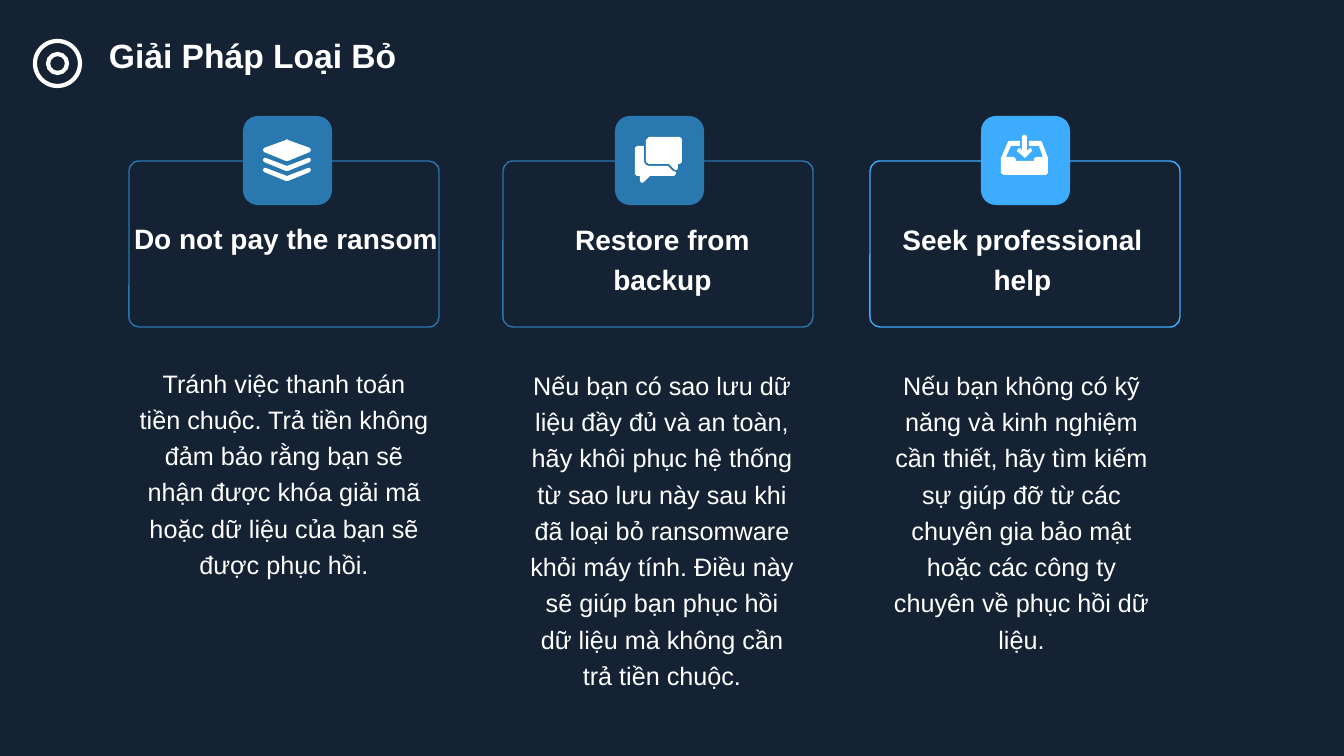
import pptx
import pptx.util
import pptx.dml.color
import pptx.enum.shapes
import pptx.enum.text

PX = 914400 / 100.8
SHAPE = pptx.enum.shapes.MSO_SHAPE
ALIGN = pptx.enum.text.PP_ALIGN
COLORS = {"back": "142233", "blue": "2A78B0", "light": "3DACFE", "white": "FFFFFF"}
FONTS = {
    "title": {"name": "Arial", "size": pptx.util.Pt(24), "bold": True},
    "head": {"name": "Arial", "size": pptx.util.Pt(20), "bold": True},
    "body": {"name": "Arial", "size": pptx.util.Pt(18), "bold": False},
}
TILE = 89

# Icon outlines, in px from the corner of their tile
CHEVRON = [(20, 44), (21, 42), (23, 42), (44, 50), (65, 42), (67, 42),
           (68, 44), (67, 46), (45, 55), (43, 55), (21, 46)]
LAYERS = [
    [(20, 34), (21, 32), (43, 24), (44, 23), (45, 24), (67, 32),
     (68, 34), (67, 36), (45, 45), (43, 45), (21, 36)],
    CHEVRON,
    [(x, y + 10) for x, y in CHEVRON],
]
CHAT = [
    [(34, 21), (65, 21), (67, 23), (67, 46), (65, 48), (63, 48), (63, 52),
     (62, 54), (60, 54), (54, 48), (34, 48), (31, 46), (31, 24)],
    [(53, 50), (58, 55), (61, 56), (61, 58), (59, 60), (35, 60), (29, 66),
     (27, 67), (25, 65), (25, 60), (22, 60), (20, 58), (20, 32), (22, 30),
     (29, 30), (29, 46), (31, 49), (34, 50)],
]
INBOX = [
    [(65, 59), (23, 59), (20, 57), (20, 42), (27, 26), (28, 25), (39, 25),
     (39, 30), (30, 30), (25, 41), (33, 41), (35, 43), (35, 45), (53, 45),
     (53, 43), (55, 41), (62, 41), (58, 30), (48, 30), (48, 25), (60, 25),
     (61, 26), (67, 42), (67, 57)],
    [(51, 35), (50, 36), (45, 41), (44, 42), (43, 41), (37, 36), (36, 35),
     (37, 33), (39, 32), (41, 35), (41, 21), (42, 19), (45, 19), (46, 21),
     (46, 35), (48, 33), (50, 32)],
]

# Card left, tile left, colour, icon, heading and its box, body and its box
CARDS = [
    (129, 243, "blue", LAYERS,
     "Do not pay the ransom", (123, 210, 326, 50),
     "Tránh việc thanh toán tiền chuộc. Trả tiền không đảm bảo rằng bạn sẽ "
     "nhận được khóa giải mã hoặc dữ liệu của bạn sẽ được phục hồi.",
     (129, 357, 310, 230)),
    (503, 615, "blue", CHAT,
     "Restore from backup", (519, 211, 287, 92),
     "Nếu bạn có sao lưu dữ liệu đầy đủ và an toàn, hãy khôi phục hệ thống "
     "từ sao lưu này sau khi đã loại bỏ ransomware khỏi máy tính. Điều này "
     "sẽ giúp bạn phục hồi dữ liệu mà không cần trả tiền chuộc.",
     (519, 359, 286, 340)),
    (870, 981, "light", INBOX,
     "Seek professional help", (878, 211, 289, 92),
     "Nếu bạn không có kỹ năng và kinh nghiệm cần thiết, hãy tìm kiếm sự giúp "
     "đỡ từ các chuyên gia bảo mật hoặc các công ty chuyên về phục hồi dữ liệu.",
     (877, 359, 289, 303)),
]


def emu(*sizes):
    return [round(size * PX) for size in sizes]


def tint(key):
    return pptx.dml.color.RGBColor.from_string(COLORS[key])


def paint(shape, fill=None, line=None, width=1):
    shape.shadow.inherit = False
    if fill:
        shape.fill.solid()
        shape.fill.fore_color.rgb = tint(fill)
    else:
        shape.fill.background()
    if line:
        shape.line.color.rgb = tint(line)
        shape.line.width = pptx.util.Pt(width)
    else:
        shape.line.fill.background()


def add_form(shapes, kind, box, adjust=None, **style):
    form = shapes.add_shape(kind, *emu(*box))
    if adjust is not None:
        form.adjustments[0] = adjust
    paint(form, **style)


def add_icon(shapes, left, top, paths):
    first, *rest = paths
    pen = shapes.build_freeform(*first[0], scale=PX)
    pen.add_line_segments(first[1:], close=True)
    for points in rest:
        pen.move_to(*points[0])
        pen.add_line_segments(points[1:], close=True)
    paint(pen.convert_to_shape(*emu(left, top)), fill="white")


def add_text(shapes, words, box, style, align=ALIGN.CENTER):
    frame = shapes.add_textbox(*emu(*box)).text_frame
    frame.word_wrap = True
    frame.auto_size = pptx.enum.text.MSO_AUTO_SIZE.SHAPE_TO_FIT_TEXT
    para = frame.paragraphs[0]
    para.alignment = align
    para.line_spacing = 1.2
    run = para.add_run()
    run.text = words
    for key, value in FONTS[style].items():
        setattr(run.font, key, value)
    run.font.color.rgb = tint("white")


def add_card(shapes, left, tile, color, icon, head, head_box, body, body_box):
    add_form(shapes, SHAPE.ROUNDED_RECTANGLE, (left, 161, 310, 166), 0.06, line=color)
    badge = shapes.add_group_shape().shapes
    add_form(badge, SHAPE.ROUNDED_RECTANGLE, (tile, 116, TILE, TILE), fill=color)
    add_icon(badge, tile, 116, icon)
    add_text(shapes, head, head_box, "head")
    add_text(shapes, body, body_box, "body")


def main():
    deck = pptx.Presentation()
    deck.slide_width, deck.slide_height = emu(1344, 756)
    slide = deck.slides.add_slide(deck.slide_layouts[6])
    slide.background.fill.solid()
    slide.background.fill.fore_color.rgb = tint("back")

    # Cards
    for card in CARDS:
        add_card(slide.shapes, *card)

    # Title with its rings
    add_text(slide.shapes, "Giải Pháp Loại Bỏ", (99, 22, 618, 58), "title", ALIGN.LEFT)
    rings = slide.shapes.add_group_shape().shapes
    for left, top, size in [(35, 41, 45), (48, 54, 19)]:
        add_form(rings, SHAPE.OVAL, (left, top, size, size), line="white", width=3)

    deck.save("out.pptx")


if __name__ == "__main__":
    main()
